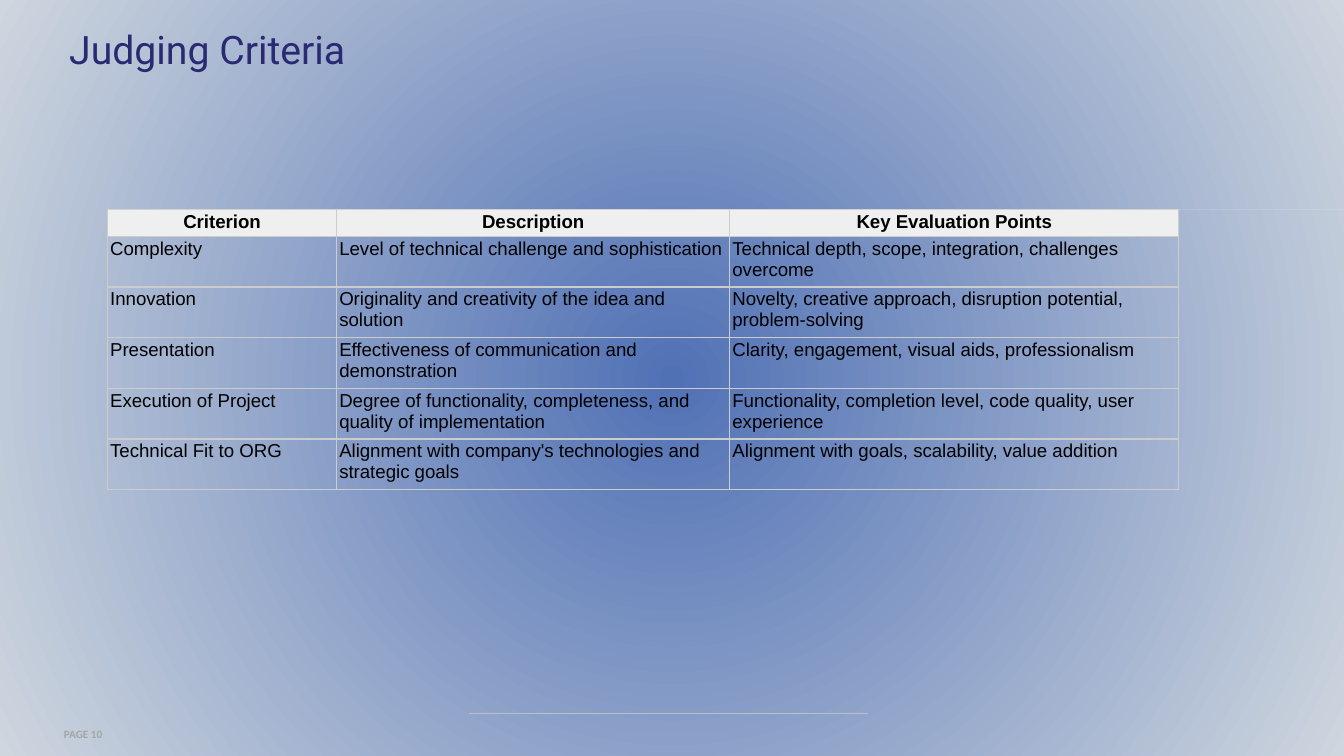
"""Build the Judging Criteria slide with its criteria table."""
from pptx import Presentation, util as u
from pptx.dml.color import RGBColor
from pptx.enum import shapes, text
from pptx.oxml import parse_xml
from pptx.oxml.ns import nsdecls

COLORS = {
    "centre": "5171B5", "edge": "CED6DE", "title": "2A2A72", "page": "A5A5A5",
    "rule": "BFBFBF", "border": "CCCCCC", "header": "EFEFEF",
    "ink": "000000", "white": "FFFFFF",
}
COLUMNS = [17.05, 29.25, 33.4]
ROWS = [1.98] + [3.77] * 5
CRITERIA = [
    ("Criterion", "Description", "Key Evaluation Points"),
    ("Complexity", "Level of technical challenge and sophistication",
     "Technical depth, scope, integration, challenges overcome"),
    ("Innovation", "Originality and creativity of the idea and solution",
     "Novelty, creative approach, disruption potential, problem-solving"),
    ("Presentation", "Effectiveness of communication and demonstration",
     "Clarity, engagement, visual aids, professionalism"),
    ("Execution of Project",
     "Degree of functionality, completeness, and quality of implementation",
     "Functionality, completion level, code quality, user experience"),
    ("Technical Fit to ORG",
     "Alignment with company's technologies and strategic goals",
     "Alignment with goals, scalability, value addition"),
]


def grid(units):
    return u.Inches(units / 10)


def color(name):
    return RGBColor.from_string(COLORS[name])


class Canvas:
    """Hold the style and current page; lengths are units of a 100-column grid."""

    def __init__(self, page):
        self.page = page

    def background(self, inner, outer):
        stops = "".join(
            f'<a:gs pos="{place}"><a:srgbClr val="{COLORS[name]}"/></a:gs>'
            for place, name in ((0, inner), (100000, outer)))
        self.page.element.cSld.insert(0, parse_xml(
            f'<p:bg {nsdecls("p", "a")}><p:bgPr><a:gradFill rotWithShape="1">'
            f'<a:gsLst>{stops}</a:gsLst><a:path path="circle">'
            '<a:fillToRect l="50000" t="50000" r="50000" b="50000"/></a:path>'
            '</a:gradFill><a:effectLst/></p:bgPr></p:bg>'))

    def style(self, para, font, size, ink, bold=False):
        para.font.name, para.font.size, para.font.bold = font, u.Pt(size), bold
        para.font.color.rgb = color(ink)

    def label(self, words, area, font, size, ink, bold=False, top=0, spacing=1.0):
        frame = self.page.shapes.add_textbox(*map(grid, area)).text_frame
        frame.word_wrap = True
        frame.margin_left = frame.margin_right = frame.margin_bottom = 0
        frame.margin_top = grid(top)
        para = frame.paragraphs[0]
        para.text, para.line_spacing = words, spacing
        self.style(para, font, size, ink, bold)

    def rule(self, left, right, level, ink):
        line = self.page.shapes.add_connector(
            shapes.MSO_CONNECTOR.STRAIGHT, *map(grid, (left, level, right, level)))
        line.line.color.rgb, line.line.width = color(ink), u.Pt(0.75)
        line.element.spPr.append(parse_xml(f'<a:effectLst {nsdecls("a")}/>'))

    def bar(self, area, fill):
        box = self.page.shapes.add_shape(shapes.MSO_SHAPE.RECTANGLE, *map(grid, area))
        box.shadow.inherit = False
        box.fill.solid()
        box.fill.fore_color.rgb = color(fill)
        box.line.fill.background()

    def cell(self, cell, words, header):
        cell.margin_left = cell.margin_right = grid(0.2)
        cell.margin_top = cell.margin_bottom = grid(0.16)
        properties = cell._tc.get_or_add_tcPr()
        for side in "LRTB":
            properties.append(parse_xml(
                f'<a:ln{side} {nsdecls("a")} w="{u.Pt(0.75)}"><a:solidFill>'
                f'<a:srgbClr val="{COLORS["border"]}"/></a:solidFill></a:ln{side}>'))
        para = cell.text_frame.paragraphs[0]
        para.text = words
        self.style(para, "Arial", 10, "ink", header)
        if header:
            para.alignment = text.PP_ALIGN.CENTER
            cell.fill.solid()
            cell.fill.fore_color.rgb = color("header")
        else:
            cell.fill.background()

    def table(self, left, top, columns, rows, content):
        area = (left, top, sum(columns), sum(rows))
        table = self.page.shapes.add_table(
            len(rows), len(columns), *map(grid, area)).table
        table.first_row = table.horz_banding = False
        for column, width in zip(table.columns, columns):
            column.width = grid(width)
        for index, (row, height) in enumerate(zip(table.rows, rows)):
            row.height = grid(height)
            for cell, words in zip(row.cells, content[index]):
                self.cell(cell, words, index == 0)


def main():
    deck = Presentation()
    deck.slide_width, deck.slide_height = grid(100), grid(56.25)
    canvas = Canvas(deck.slides.add_slide(deck.slide_layouts[6]))
    canvas.background("centre", "edge")
    canvas.label("PAGE 10", (4.76, 54.1, 29.2, 1.8), "Calibri", 6, "page", bold=True)
    canvas.rule(34.9, 64.6, 53.1, "rule")
    canvas.label("Judging Criteria", (5.15, 1.1, 79.7, 8.4), "Roboto", 21, "title",
                 top=1.6, spacing=0.75)
    canvas.table(8, 15.6, COLUMNS, ROWS, CRITERIA)
    canvas.bar((8, 15.6, 92, 0), "white")
    deck.save("out.pptx")


if __name__ == "__main__":
    main()
